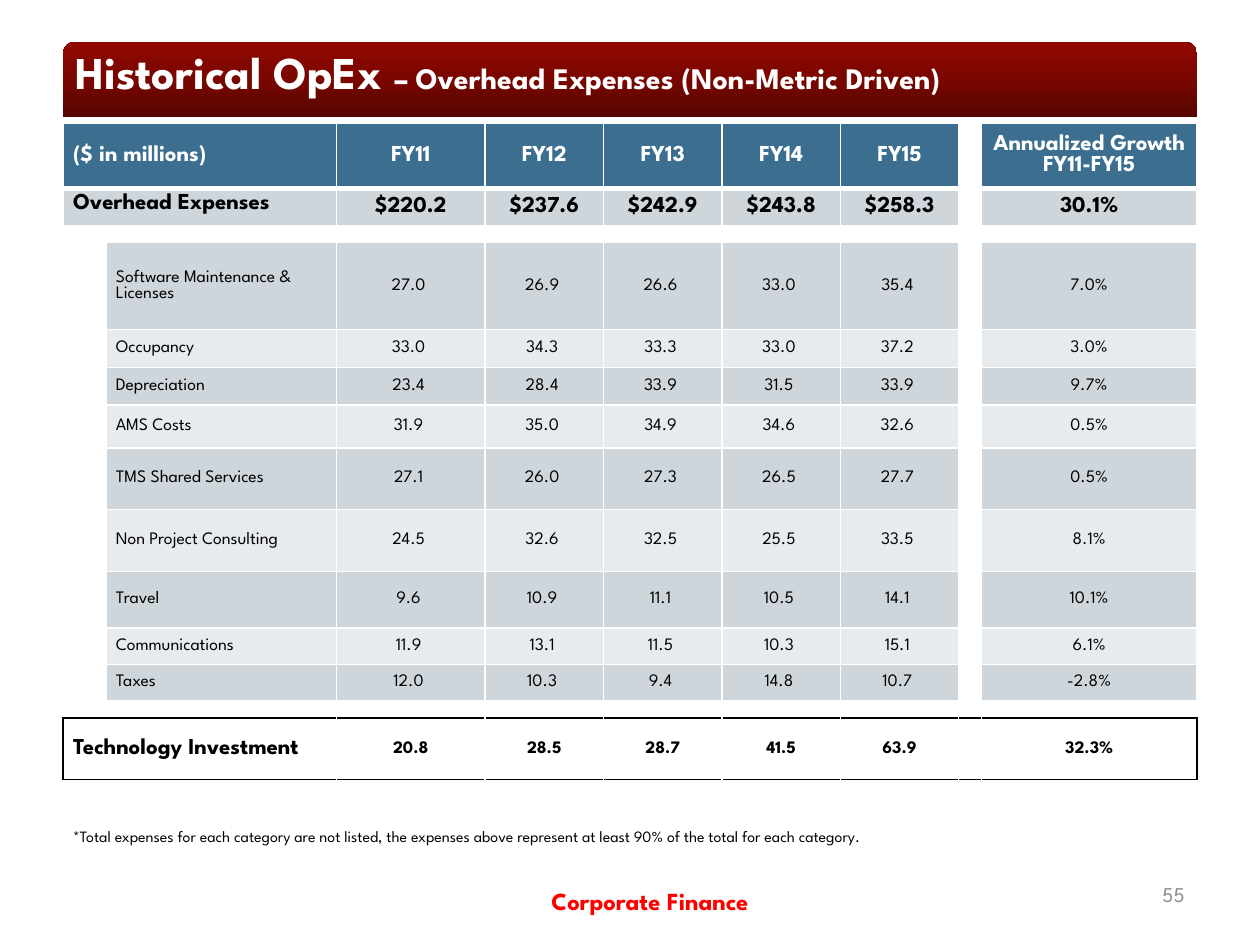
from dataclasses import dataclass
from copy import deepcopy
from typing import NamedTuple

from lxml import etree
from pptx import Presentation
from pptx.dml.color import RGBColor
from pptx.enum.shapes import MSO_SHAPE
from pptx.enum.text import MSO_ANCHOR, PP_ALIGN
from pptx.oxml.ns import qn
from pptx.util import Inches, Pt

LEFT, CENTER, RIGHT = PP_ALIGN.LEFT, PP_ALIGN.CENTER, PP_ALIGN.RIGHT
TOP, MIDDLE = MSO_ANCHOR.TOP, MSO_ANCHOR.MIDDLE
BANNER = MSO_SHAPE.ROUND_2_SAME_RECTANGLE

WHITE = RGBColor(0xFF, 0xFF, 0xFF)
BLACK = RGBColor(0x00, 0x00, 0x00)
RED = RGBColor(0xFF, 0x00, 0x00)
GRAY = RGBColor(0x8C, 0x8C, 0x8C)
BLUE = RGBColor(0x3B, 0x6E, 0x8F)
BAND_DARK = RGBColor(0xCE, 0xD5, 0xDB)
BAND_LIGHT = RGBColor(0xE8, 0xEB, 0xEE)
MAROONS = (RGBColor(0x55, 0x05, 0x00), RGBColor(0x79, 0x07, 0x00), RGBColor(0x90, 0x08, 0x00))

FONT = "League Spartan"
WIDTH, HEIGHT = Inches(10), Inches(7.5)
COL, ROW = WIDTH / 100, HEIGHT / 75
PADDED = (0.08, 0.04)
FLUSH = (0, 0)

COL_SPANS = [3.4, 18.3, 11.8, 9.4, 9.4, 9.4, 9.4, 1.8, 17.1]
GAP_COL, GROWTH_COL = 7, 8


class Box(NamedTuple):
    x: float
    y: float
    w: float
    h: float

    def emu(self) -> list[int]:
        return [round(n) for n in (self.x * COL, self.y * ROW, self.w * COL, self.h * ROW)]


@dataclass
class Line:
    label: str
    values: str = ""
    growth: str = ""
    height: float = 3
    size: float = 10
    value_size: float = 10
    bold: bool = False
    color: RGBColor = BLACK
    fill: RGBColor = WHITE
    label_anchor: MSO_ANCHOR = MIDDLE
    detail: bool = False


HEADER = Line("($ in millions)", "FY11 FY12 FY13 FY14 FY15", "Annualized Growth\nFY11-FY15",
              4, 13, 13, True, WHITE, BLUE)
OVERHEAD = Line("Overhead Expenses", "$220.2 $237.6 $242.9 $243.8 $258.3", "30.1%",
                2.9, 13, 13, True, BLACK, BAND_DARK, TOP)
SPACER = Line("", height=1.35)
DETAILS = [
    Line("Software Maintenance & Licenses", "27.0 26.9 26.6 33.0 35.4", "7.0%", 6.9),
    Line("Occupancy", "33.0 34.3 33.3 33.0 37.2", "3.0%"),
    Line("Depreciation", "23.4 28.4 33.9 31.5 33.9", "9.7%"),
    Line("AMS Costs", "31.9 35.0 34.9 34.6 32.6", "0.5%", 3.4),
    Line("TMS Shared Services", "27.1 26.0 27.3 26.5 27.7", "0.5%", 4.9),
    Line("Non Project Consulting", "24.5 32.6 32.5 25.5 33.5", "8.1%", 4.9),
    Line("Travel", "9.6 10.9 11.1 10.5 14.1", "10.1%", 4.5),
    Line("Communications", "11.9 13.1 11.5 10.3 15.1", "6.1%", 2.9),
    Line("Taxes", "12.0 10.3 9.4 14.8 10.7", "-2.8%", 2.9),
]
for i, line in enumerate(DETAILS):
    line.detail = True
    line.fill = BAND_LIGHT if i % 2 else BAND_DARK
TECHNOLOGY = Line("Technology Investment", "20.8 28.5 28.7 41.5 63.9", "32.3%", 4.9, 13, bold=True)
LINES = [HEADER, OVERHEAD, SPACER, *DETAILS, SPACER, TECHNOLOGY]


def write(frame, text: str, *, size: float, color: RGBColor = BLACK, bold: bool = False,
          align=LEFT, anchor=MIDDLE, margins=(0.1, 0.05), append: bool = False) -> None:
    frame.margin_left = frame.margin_right = Inches(margins[0])
    frame.margin_top = frame.margin_bottom = Inches(margins[1])
    frame.vertical_anchor = anchor
    tf = getattr(frame, "text_frame", frame)
    tf.word_wrap = True
    for i, part in enumerate(text.split("\n")):
        p = tf.add_paragraph() if i else tf.paragraphs[0]
        p.alignment = align
        if not part:
            etree.SubElement(p._p, qn("a:endParaRPr"), sz=str(size * 100))
            continue
        r = p.add_run()
        r.text = part
        r.font.name = FONT
        r.font.size = Pt(size)
        r.font.bold = bold
        r.font.color.rgb = color


def add_text(s, box: Box, text: str, **fmt):
    tf = s.shapes.add_textbox(*box.emu()).text_frame
    write(tf, text, **fmt)
    return tf


def add_banner(s, box: Box) -> None:
    sp = s.shapes.add_shape(BANNER, *box.emu())
    sp.shadow.inherit = False
    sp.line.fill.background()
    sp.fill.gradient()
    sp.fill.gradient_angle = 90
    first = sp.fill._fill._gradFill.find(qn("a:gsLst"))[0]
    first.addnext(deepcopy(first))
    for stop, color, position in zip(sp.fill.gradient_stops, MAROONS, (0, 0.5, 1)):
        stop.color.rgb = color
        stop.position = position


def set_border(cell, side: str, color: RGBColor, width: float) -> None:
    ln = etree.SubElement(cell._tc.get_or_add_tcPr(), qn(f"a:ln{side}"), w=str(Pt(width)))
    fill = etree.SubElement(ln, qn("a:solidFill"))
    etree.SubElement(fill, qn("a:srgbClr"), val=str(color))


def rule_at(edge: int) -> tuple[RGBColor, float]:
    if edge == 1:
        return WHITE, 3
    return (BLACK if edge >= len(LINES) - 1 else WHITE), 1


def style_cell(cell, row: int, col: int, line: Line) -> None:
    framed = line is TECHNOLOGY
    set_border(cell, "L", BLACK if framed and col == 0 else WHITE, 1)
    set_border(cell, "R", BLACK if framed and col == GROWTH_COL else WHITE, 1)
    set_border(cell, "T", *rule_at(row))
    set_border(cell, "B", *rule_at(row + 1))
    cell.fill.solid()
    blank = col == GAP_COL or (line.detail and col == 0)
    cell.fill.fore_color.rgb = WHITE if blank else line.fill


def fill_row(table, row: int, line: Line) -> None:
    end = " " if line.detail else ""
    values = [v + end for v in line.values.split()] or [""] * 5
    texts = ["", line.label] if line.detail else [line.label, ""]
    texts += [*values, "", line.growth]
    for col, text in enumerate(texts):
        cell = table.cell(row, col)
        style_cell(cell, row, col, line)
        is_label = col < 2
        padded = text and (is_label or not line.detail)
        write(cell, text, size=(line.size if is_label else line.value_size) if text else 1,
              color=line.color, bold=line.bold, align=LEFT if is_label else CENTER,
              anchor=line.label_anchor if is_label else MIDDLE,
              margins=PADDED if padded else FLUSH)


def add_expenses(s, box: Box) -> None:
    table = s.shapes.add_table(len(LINES), len(COL_SPANS), *box.emu()).table
    table.first_row = table.horz_banding = False
    for column, span in zip(table.columns, COL_SPANS):
        column.width = round(span * COL)
    for row, line in enumerate(LINES):
        table.rows[row].height = round(line.height * ROW)
        fill_row(table, row, line)
    last = len(LINES) - 1
    merges = [(0, 0, 0, 1), (1, 0, 1, 1), (2, 1, 2, 6), (3, 0, last - 2, 0),
              (last - 1, 1, last - 1, GROWTH_COL), (last, 0, last, 1)]
    for top, left, bottom, right in merges:
        table.cell(top, left).merge(table.cell(bottom, right))


def main() -> None:
    prs = Presentation()
    prs.slide_width, prs.slide_height = WIDTH, HEIGHT
    s = prs.slides.add_slide(prs.slide_layouts[6])
    add_banner(s, Box(5, 3.3, 90, 6))
    add_text(s, Box(26.6, 69.5, 50, 4), "Corporate Finance", size=14, color=RED, bold=True, align=CENTER)
    title = add_text(s, Box(5, -0.6, 90, 12.5), "Historical OpEx ", size=26, color=WHITE, bold=True)
    write(title, "– Overhead Expenses (Non-Metric Driven)", size=17, color=WHITE, bold=True)
    add_text(s, Box(71.7, 69, 23.3, 4), "55", size=12, color=GRAY, align=RIGHT)
    add_expenses(s, Box(5, 9.8, 90, sum(line.height for line in LINES)))
    add_text(s, Box(5, 65.2, 90.1, 2.3),
             "*Total expenses for each category are not listed, the expenses above represent "
             "at least 90% of the total for each category.",
             size=9, anchor=TOP, margins=PADDED)
    prs.save("out.pptx")


if __name__ == "__main__":
    main()
